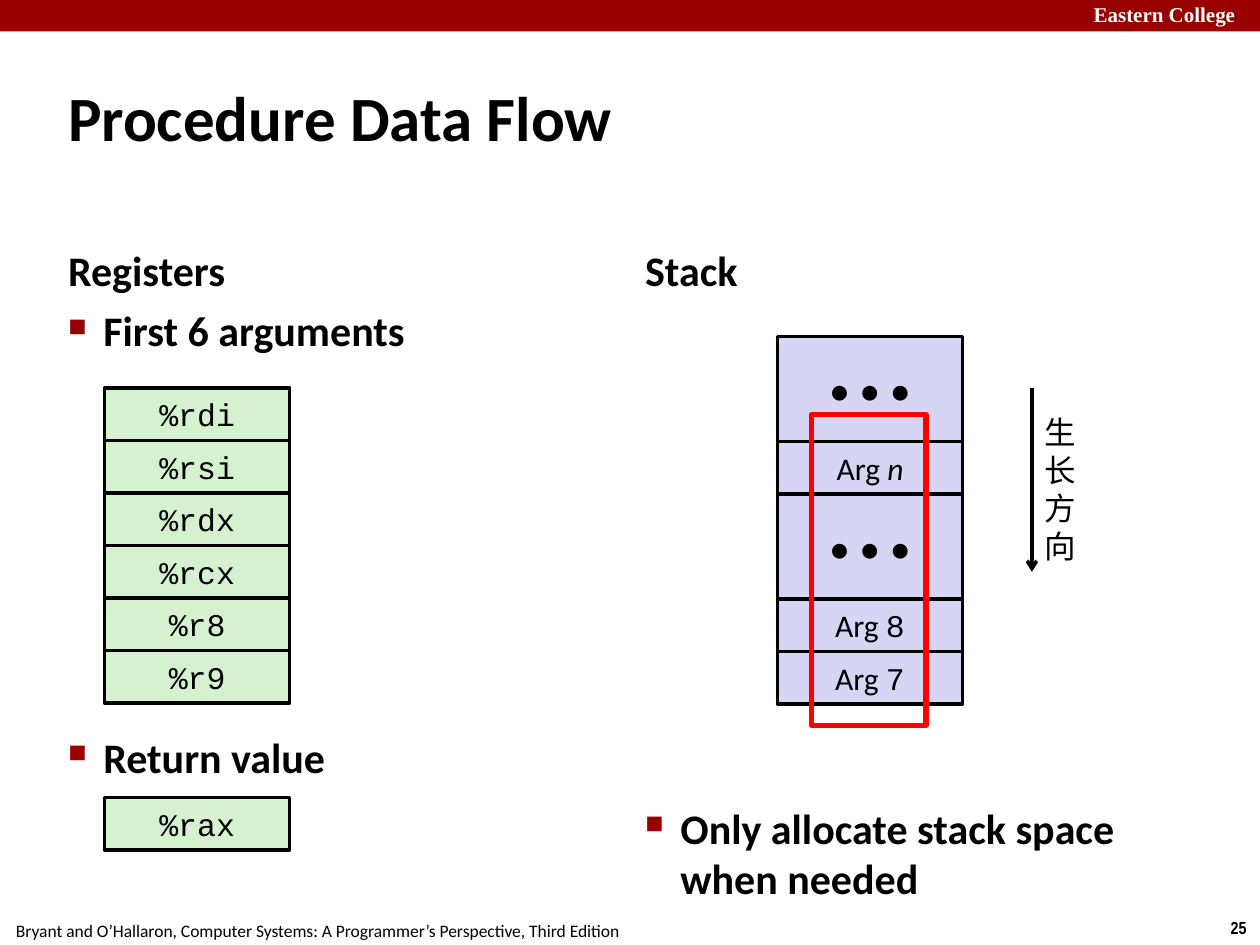
from lxml.etree import SubElement
from pptx import Presentation
from pptx.dml.color import RGBColor
from pptx.enum.shapes import MSO_CONNECTOR as Conn, MSO_SHAPE as Kind
from pptx.enum.text import MSO_ANCHOR as Anchor, PP_ALIGN as Align
from pptx.oxml.ns import qn
from pptx.util import Inches, Pt

BLACK = RGBColor(0x00, 0x00, 0x00)
WHITE = RGBColor(0xFF, 0xFF, 0xFF)
MAROON = RGBColor(0x99, 0x00, 0x00)
RED = RGBColor(0xFF, 0x00, 0x00)
GREEN = RGBColor(0xD5, 0xF1, 0xCF)
LILAC = RGBColor(0xD6, 0xD6, 0xF4)
SANS, MONO, HAN = "Calibri", "Courier New", "Noto Sans CJK SC"

SCHOOL = "Eastern College"
TITLE = "Procedure Data Flow"
BOOK = ("Bryant and O’Hallaron, Computer Systems: "
        "A Programmer’s Perspective, Third Edition")
PAGE = "25"
HEADS = ["Registers", "Stack"]
POINTS = ["First 6 arguments", "Return value"]
NOTE = "Only allocate stack space when needed"
ARGS = ["%rdi", "%rsi", "%rdx", "%rcx", "%r8", "%r9"]
RESULT = "%rax"
DOTS = "• • •"
# Stack cells from top to bottom: height in rows, runs of (text, style)
STACK = [
    (2, [(DOTS, {"size": 24})]),
    (1, [("Arg ", {}), ("n", {"italic": True})]),
    (2, [(DOTS, {"size": 24})]),
    (1, [("Arg ", {}), ("8", {"font": MONO})]),
    (1, [("Arg ", {}), ("7", {"font": MONO})]),
]
GROWTH = "生长方向"

WIDE, HIGH = 10, 7.5
COLS = [0.5, 5.08]
COL_W = 4.42
ROW = 5 / 12
CELL_W = 1.47
REG_X, REG_Y, RES_Y = 0.83, 3.08, 6.33
STACK_X, STACK_Y = 6.17, 2.67
GROW_X = 8.19
PAD = 0.04

prs = Presentation()
prs.slide_width, prs.slide_height = Inches(WIDE), Inches(HIGH)
slide = prs.slides.add_slide(prs.slide_layouts[6])
shapes = slide.shapes


def put(para, text, size=18, font=SANS, color=BLACK, bold=False, italic=False):
    run = para.add_run()
    run.text = text
    face = run.font
    face.size, face.name = Pt(size), font
    face.bold, face.italic = bold, italic
    face.color.rgb = color
    if font == HAN:
        SubElement(run._r.get_or_add_rPr(), qn("a:ea"), typeface=font)


def frame(shape, pad, anchor, wrap=True):
    tf = shape.text_frame
    tf.word_wrap, tf.vertical_anchor = wrap, anchor
    tf.margin_left = tf.margin_right = Inches(pad[0])
    tf.margin_top = tf.margin_bottom = Inches(pad[1])
    return tf


def label(box, lines, align=Align.LEFT, anchor=Anchor.TOP,
          pad=(PAD, PAD), wrap=True, **style):
    """Add a text box with one paragraph per line; return the paragraphs."""
    tf = frame(shapes.add_textbox(*map(Inches, box)), pad, anchor, wrap)
    paras = []
    for i, line in enumerate(lines):
        para = tf.add_paragraph() if i else tf.paragraphs[0]
        para.alignment = align
        put(para, line, **style)
        paras.append(para)
    return paras


def bullet(para):
    ppr = para._p.get_or_add_pPr()
    ppr.set("marL", str(Inches(0.28)))
    ppr.set("indent", str(-Inches(0.28)))
    tint = SubElement(ppr, qn("a:buClr"))
    SubElement(tint, qn("a:srgbClr"), val=str(MAROON))
    SubElement(ppr, qn("a:buSzPct"), val="60000")
    SubElement(ppr, qn("a:buChar"), char="■")


def rect(box, fill=None, line=None, width=2):
    shape = shapes.add_shape(Kind.RECTANGLE, *map(Inches, box))
    shape.shadow.inherit = False
    if fill is None:
        shape.fill.background()
    else:
        shape.fill.solid()
        shape.fill.fore_color.rgb = fill
    if line is None:
        shape.line.fill.background()
    else:
        shape.line.color.rgb = line
        shape.line.width = Pt(width)
    return shape


def cell(x, y, rows, fill, runs):
    shape = rect((x, y, CELL_W, rows * ROW), fill, BLACK)
    para = frame(shape, (PAD, PAD), Anchor.MIDDLE).paragraphs[0]
    para.alignment = Align.CENTER
    for text, style in runs:
        put(para, text, **style)


def arrow(x, top, end):
    line = shapes.add_connector(
        Conn.STRAIGHT, Inches(x), Inches(top), Inches(x), Inches(end))
    line.line.color.rgb = BLACK
    line.line.width = Pt(2)
    SubElement(line.line._get_or_add_ln(), qn("a:tailEnd"), type="arrow")
    SubElement(line._element.spPr, qn("a:effectLst"))


# Header and footer
small = dict(align=Align.CENTER, pad=(0.1, 0.05), wrap=False, size=10)
label((9.66, 7.23, 0.34, 0.27), [PAGE], font="Arial Narrow", bold=True, **small)
label((-0.02, 7.25, 5.08, 0.27), [BOOK], **small)
rect((0, 0, WIDE, HIGH / 30), MAROON)
label((8.64, -0.03, 1.44, 0.28), [SCHOOL], size=12, font="Times New Roman",
      color=WHITE, bold=True)

# Title, headings and points
label((0.5, 0.3, 9, 1.25), [TITLE], anchor=Anchor.MIDDLE, size=36, bold=True)
for x, head in zip(COLS, HEADS):
    label((x, 1.68, COL_W, 0.7), [head], anchor=Anchor.BOTTOM, size=24, bold=True)
first, last = label((COLS[0], 2.38, COL_W, 4.32), POINTS, size=24, bold=True)
last.space_before = Pt(215)
[note] = label((COLS[1], 6.33, COL_W, 0.37), [NOTE], size=24, bold=True)
for para in (first, last, note):
    bullet(para)

# Registers
spots = [(REG_Y + i * ROW, name) for i, name in enumerate(ARGS)]
for y, name in spots + [(RES_Y, RESULT)]:
    cell(REG_X, y, 1, GREEN, [(name, {"font": MONO})])

# Stack
y = STACK_Y
for rows, runs in STACK:
    cell(STACK_X, y, rows, LILAC, runs)
    y += rows * ROW
rect((6.44, 3.29, 0.91, 2.47), line=RED, width=3)

# Direction of growth
arrow(GROW_X, REG_Y, REG_Y + 3.5 * ROW)
label((GROW_X, 3.23, 0.45, 1.31), GROWTH, align=Align.CENTER,
      pad=(0.1, 0.05), wrap=False, font=HAN)

prs.save("out.pptx")
